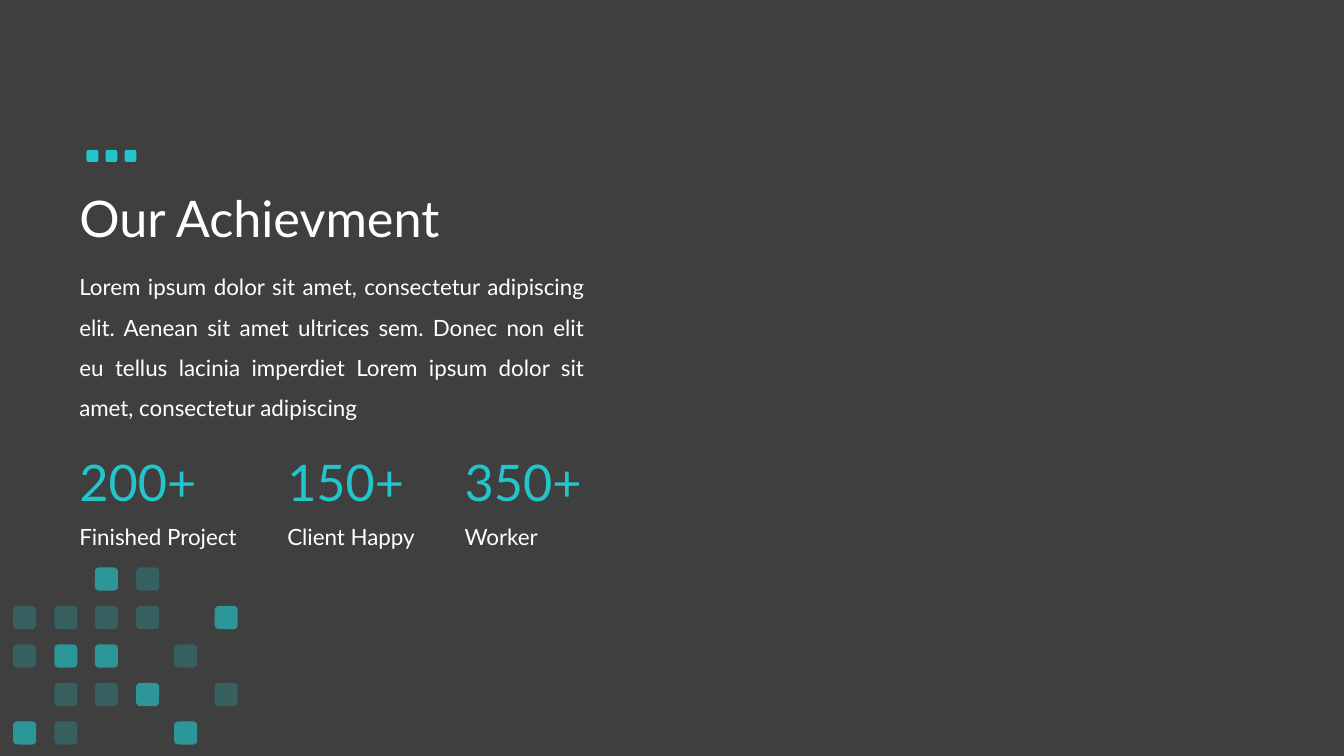
from dataclasses import dataclass

from lxml.etree import SubElement
from pptx import Presentation
from pptx.dml.color import RGBColor
from pptx.enum.shapes import MSO_SHAPE
from pptx.enum.text import MSO_ANCHOR, MSO_AUTO_SIZE, PP_ALIGN
from pptx.oxml.ns import qn
from pptx.util import Cm, Pt


@dataclass(frozen=True)
class Theme:
    font: str = "Lato"
    back: RGBColor = RGBColor(0x3F, 0x3F, 0x3F)
    white: RGBColor = RGBColor(0xFF, 0xFF, 0xFF)
    teal: RGBColor = RGBColor(0x23, 0xC5, 0xCA)
    large: int = 36
    small: int = 16


class Painter:
    def __init__(self, slide, theme):
        self.slide = slide
        self.theme = theme
        fill = slide.background.fill
        fill.solid()
        fill.fore_color.rgb = theme.back

    def text(self, words, left, top, width, height, size, color,
             align=PP_ALIGN.LEFT, space=1.0, anchor=MSO_ANCHOR.TOP,
             fit=MSO_AUTO_SIZE.SHAPE_TO_FIT_TEXT):
        box = self.slide.shapes.add_textbox(
            Cm(left), Cm(top), Cm(width), Cm(height))
        frame = box.text_frame
        frame.word_wrap = True
        frame.auto_size = fit
        frame.vertical_anchor = anchor
        para = frame.paragraphs[0]
        para.alignment = align
        para.line_spacing = space
        run = para.add_run()
        run.text = words
        run.font.name = self.theme.font
        run.font.size = Pt(size)
        run.font.color.rgb = color

    def group(self):
        return self.slide.shapes.add_group_shape()

    def tile(self, group, left, top, side, alpha=100, turn=0):
        tile = group.shapes.add_shape(
            MSO_SHAPE.ROUNDED_RECTANGLE, Cm(left), Cm(top), Cm(side), Cm(side))
        tile.shadow.inherit = False
        tile.rotation = turn
        tile.line.fill.background()
        tile.fill.solid()
        tile.fill.fore_color.rgb = self.theme.teal
        if alpha < 100:
            color = tile.fill._xPr.find(qn("a:solidFill"))[0]
            SubElement(color, qn("a:alpha"), val=str(alpha * 1000))


LEFT = 1.75
BODY = ("Lorem ipsum dolor sit amet, consectetur adipiscing elit. "
        "Aenean sit amet ultrices sem. Donec non elit eu tellus lacinia "
        "imperdiet Lorem ipsum dolor sit amet, consectetur adipiscing")
STATS = [
    (LEFT, "200+", "Finished Project"),
    (6.99, "150+", "Client Happy"),
    (11.46, "350+", "Worker"),
]

# Tile pattern: # is strong, o is faint, a point is empty
COLUMNS = [0.33, 1.37, 2.39, 3.43, 4.39, 5.41]
PATTERN = ["..#o..", "oooo.#", "o##.o.", ".oo#.o", "#o..#."]
ALPHA = {"#": 65, "o": 25}


def main():
    deck = Presentation()
    deck.slide_width, deck.slide_height = Cm(33.87), Cm(19.05)
    theme = Theme()
    paint = Painter(deck.slides.add_slide(deck.slide_layouts[6]), theme)

    # Title and body
    paint.text("Our Achievment", LEFT, 3.73, 29.21, 3.68, theme.large,
               theme.white, space=0.9, anchor=MSO_ANCHOR.MIDDLE,
               fit=MSO_AUTO_SIZE.NONE)
    paint.text(BODY, LEFT, 6.43, 13.23, 4.22, theme.small, theme.white,
               align=PP_ALIGN.JUSTIFY, space=1.5)

    # Figures with their labels
    for left, figure, label in STATS:
        paint.text(figure, left, 11.25, 4.04, 1.8, theme.large, theme.teal)
        paint.text(label, left, 13.06, 5.97, 0.94, theme.small, theme.white)

    # Mosaic in the lower corner
    mosaic = paint.group()
    for row, marks in enumerate(PATTERN):
        for left, mark in zip(COLUMNS, marks):
            if mark in ALPHA:
                paint.tile(mosaic, left, 14.3 + 0.97 * row, 0.58,
                           ALPHA[mark], 180)

    # Three dots above the title
    dots = paint.group()
    for index in range(3):
        paint.tile(dots, 2.18 + 0.48 * index, 3.78, 0.3)

    deck.save("out.pptx")


if __name__ == "__main__":
    main()
